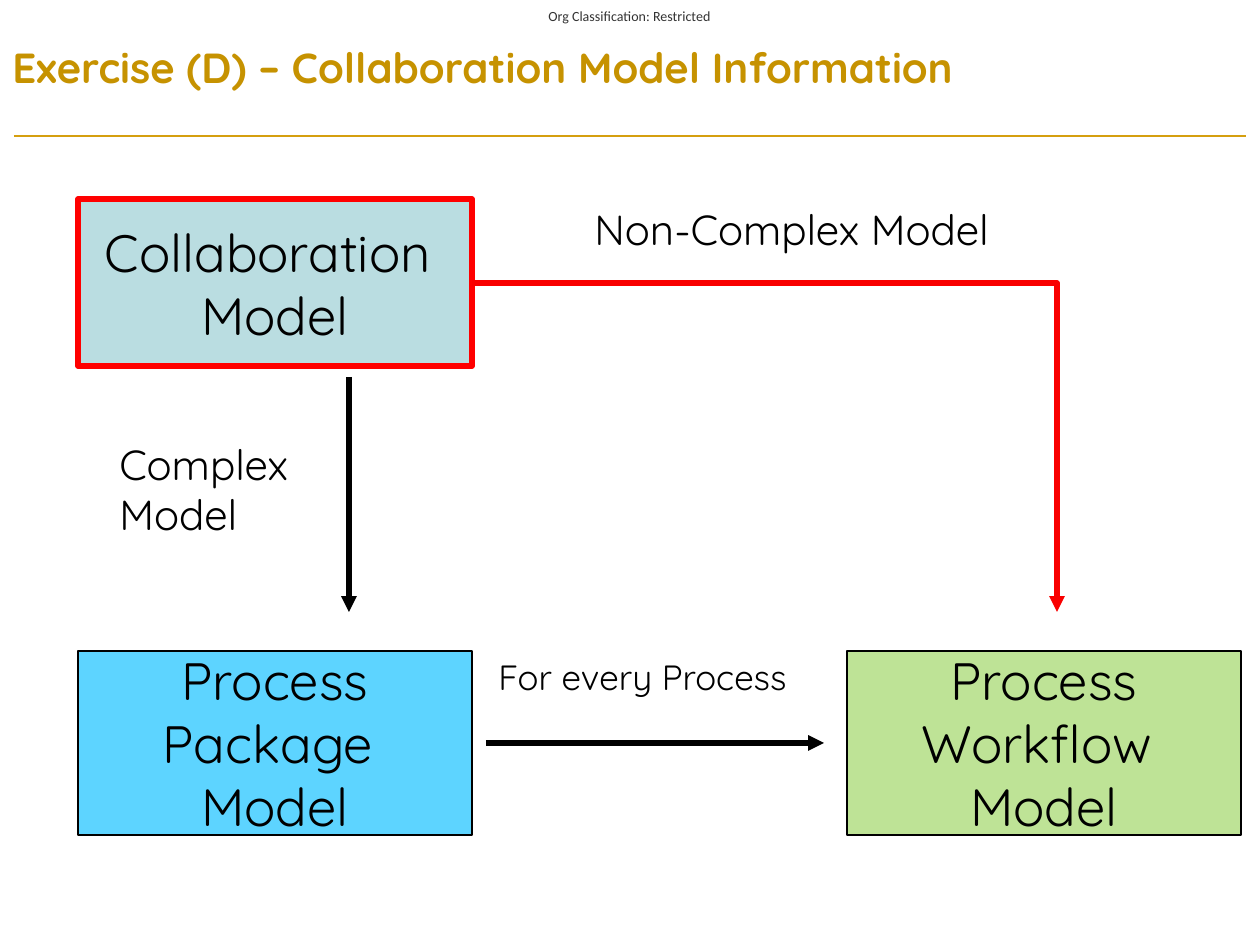
from collections import namedtuple

from lxml.etree import SubElement
from pptx import Presentation
from pptx.dml.color import RGBColor
from pptx.enum.shapes import MSO_CONNECTOR, MSO_SHAPE
from pptx.enum.text import MSO_ANCHOR, PP_ALIGN
from pptx.oxml.ns import qn
from pptx.util import Emu, Pt

Box = namedtuple("Box", "left top width height")
FONT = "Quicksand"
BLACK = "000000"


def px(length):
    """Turn a length in px into EMU."""
    return Emu(round(length * 914400 / 126))


def colour(value):
    """Turn a hex string into a colour."""
    return RGBColor.from_string(value)


def write(frame, lines, size, ink=BLACK, font=FONT, bold=False,
          align=PP_ALIGN.LEFT, anchor=MSO_ANCHOR.TOP, wrap=True):
    """Write one paragraph for each line and return the paragraphs."""
    frame.word_wrap = wrap
    frame.vertical_anchor = anchor
    for index, line in enumerate(lines):
        para = frame.add_paragraph() if index else frame.paragraphs[0]
        para.alignment = align
        span = para.add_run()
        span.text = line
        span.font.name = font
        span.font.size = Pt(size)
        span.font.bold = bold
        span.font.color.rgb = colour(ink)
    return frame.paragraphs


def add_label(page, box, lines, size, **style):
    """Place a text box and return its shape."""
    label = page.shapes.add_textbox(*map(px, box))
    write(label.text_frame, lines, size, **style)
    return label


def add_model(page, box, lines, fill, line=BLACK, weight=0.75):
    """Place a model rectangle with centred text."""
    model = page.shapes.add_shape(MSO_SHAPE.RECTANGLE, *map(px, box))
    model.shadow.inherit = False
    model.fill.solid()
    model.fill.fore_color.rgb = colour(fill)
    model.line.color.rgb = colour(line)
    model.line.width = Pt(weight)
    write(model.text_frame, lines, 30, align=PP_ALIGN.CENTER, anchor=MSO_ANCHOR.MIDDLE)


def add_line(page, start, end, ink, weight=3, arrow=True, kind=MSO_CONNECTOR.STRAIGHT):
    """Draw a connector between two points and return it."""
    line = page.shapes.add_connector(kind, *map(px, start + end))
    line.line.color.rgb = colour(ink)
    line.line.width = Pt(weight)
    properties = line._element.spPr
    if arrow:
        SubElement(properties.find(qn("a:ln")), qn("a:tailEnd"), type="triangle")
    SubElement(properties, qn("a:effectLst"))
    return line


def add_header(page, box):
    """Place the classification, the title and the rule below them."""
    left, top, width, height = box
    rule = top + height - 3
    add_line(page, (left + 14, rule), (left + width - 14, rule), "D59F0F", 0.75, arrow=False)
    notice = add_label(page, Box(left + 527, top, 205, 32), ["Org Classification: Restricted"], 8,
                       ink="333333", font="Calibri", align=PP_ALIGN.CENTER,
                       anchor=MSO_ANCHOR.MIDDLE)
    frame = notice.text_frame
    frame.margin_left = frame.margin_right = frame.margin_top = frame.margin_bottom = 0
    title = add_label(page, Box(left, top, 982, height),
                      ["Exercise (D) – Collaboration Model Information"], 24,
                      ink="C69200", bold=True, anchor=MSO_ANCHOR.MIDDLE)
    title.text_frame.paragraphs[0].line_spacing = 0.9


def add_flow(page, box):
    """Place the three models with the arrows and labels between them."""
    left, top, width, height = box
    model_width, lower_height = 394, 184
    right = left + width - model_width
    lower = top + height - lower_height
    add_model(page, Box(left, lower, model_width, lower_height),
              ["Process Package ", "Model"], "5DD4FF")
    add_model(page, Box(left, top, model_width, 167),
              ["Collaboration ", "Model"], "BADDE1", "FF0000", 3)
    add_model(page, Box(right, lower, model_width, lower_height),
              ["Process Workflow ", "Model"], "BEE396")

    arrow_end = lower - 39
    add_line(page, (left + 271, top + 178), (left + 271, arrow_end), BLACK)
    add_line(page, (left + 408, lower + 92), (right - 23, lower + 92), BLACK)
    elbow = add_line(page, (left + model_width, top + 84), (left + 979, arrow_end), "F90000",
                     kind=MSO_CONNECTOR.ELBOW)
    guides = elbow._element.spPr.find(qn("a:prstGeom")).get_or_add_avLst()
    SubElement(guides, qn("a:gd"), name="adj1", fmla="val 100000")

    add_label(page, Box(left + 408, lower - 2, 319, 55), ["For every Process"], 20, wrap=False)
    add_label(page, Box(left + 504, top - 2, 475, 63), ["Non-Complex Model"], 24)
    add_label(page, Box(left + 29, top + 233, 228, 115), ["Complex", "Model"], 24, wrap=False)


def main():
    """Build the slide and save it."""
    deck = Presentation()
    deck.slide_width, deck.slide_height = px(1260), px(945)
    page = deck.slides.add_slide(deck.slide_layouts[6])
    add_header(page, Box(0, 0, 1260, 139))
    add_flow(page, Box(78, 199, 1163, 636))
    deck.save("out.pptx")


if __name__ == "__main__":
    main()
